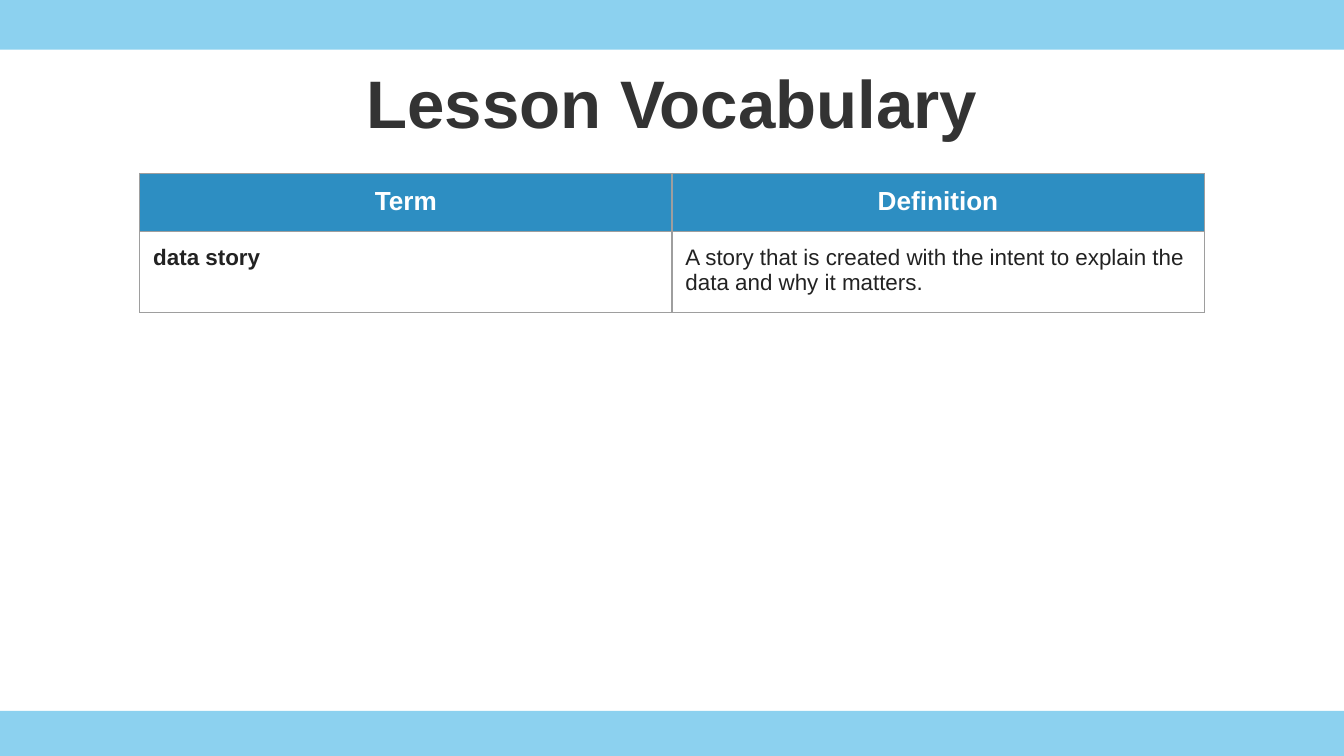
import pptx
import pptx.dml.color
import pptx.enum.shapes
import pptx.enum.text
import pptx.oxml
import pptx.oxml.ns
import pptx.util

Inches = pptx.util.Inches
Pt = pptx.util.Pt
ALIGN = pptx.enum.text.PP_ALIGN
ANCHOR = pptx.enum.text.MSO_ANCHOR

TITLE = "Lesson Vocabulary"
VOCABULARY = [
    ("Term", "Definition"),
    ("data story",
     "A story that is created with the intent to explain the data and why it matters."),
]

SLIDE_W = 10
SLIDE_H = SLIDE_W * 9 / 16
BAND_H = 0.37
BAND_TOPS = (0, 5.29)
COLUMN_W, ROW_H = 3.96, 0.42
TABLE_TOP, TABLE_FRAME = 1.29, 3.28
HEADER_BLUE, BAND_BLUE, BORDER_GRAY = "2D8EC2", "27A9E1", "9E9E9E"


def rgb(color):
    return pptx.dml.color.RGBColor.from_string(color)


def write(frame, text, size, color, bold=False, align=ALIGN.LEFT):
    paragraph = frame.paragraphs[0]
    paragraph.alignment = align
    run = paragraph.add_run()
    run.text = text
    run.font.name = "Arial"
    run.font.size = Pt(size)
    run.font.bold = bold
    run.font.color.rgb = rgb(color)


def set_margins(box):
    """Give a text frame or table cell the same inset on all sides."""
    box.margin_left = box.margin_right = Inches(0.1)
    box.margin_top = box.margin_bottom = Inches(0.1)


def add_band(slide, top):
    band = slide.shapes.add_shape(
        pptx.enum.shapes.MSO_SHAPE.RECTANGLE,
        0, Inches(top), Inches(SLIDE_W), Inches(BAND_H))
    band.shadow.inherit = False
    band.line.fill.background()
    band.fill.solid()
    band.fill.fore_color.rgb = rgb(BAND_BLUE)
    color = band.fill._xPr.find(".//" + pptx.oxml.ns.qn("a:srgbClr"))
    color.append(pptx.oxml.parse_xml(
        f'<a:alpha {pptx.oxml.ns.nsdecls("a")} val="53000"/>'))


def add_borders(cell):
    properties = cell._tc.get_or_add_tcPr()
    for position, side in enumerate(("lnL", "lnR", "lnT", "lnB")):
        properties.insert(position, pptx.oxml.parse_xml(
            f'<a:{side} {pptx.oxml.ns.nsdecls("a")} w="{Pt(0.75)}">'
            f'<a:solidFill><a:srgbClr val="{BORDER_GRAY}"/></a:solidFill></a:{side}>'))


def add_title(slide):
    box = slide.shapes.add_textbox(Inches(0.5), Inches(0.22), Inches(9), Inches(0.94))
    frame = box.text_frame
    frame.word_wrap = True
    frame.vertical_anchor = ANCHOR.BOTTOM
    set_margins(frame)
    write(frame, TITLE, 36, "333333", bold=True, align=ALIGN.CENTER)


def add_vocabulary(slide):
    row_count, column_count = len(VOCABULARY), len(VOCABULARY[0])
    width = COLUMN_W * column_count
    holder = slide.shapes.add_table(
        row_count, column_count, Inches((SLIDE_W - width) / 2), Inches(TABLE_TOP),
        Inches(width), Inches(ROW_H * row_count))
    # Columns and rows keep their own sizes; the frame is a square.
    holder.width = holder.height = Inches(TABLE_FRAME)
    table = holder.table
    table.horz_banding = False
    for r, entry in enumerate(VOCABULARY):
        for c, text in enumerate(entry):
            cell = table.cell(r, c)
            set_margins(cell)
            if r == 0:
                cell.fill.solid()
                cell.fill.fore_color.rgb = rgb(HEADER_BLUE)
                write(cell.text_frame, text, 14, "FFFFFF", bold=True, align=ALIGN.CENTER)
            else:
                cell.fill.background()
                write(cell.text_frame, text, 12, "222222", bold=c == 0)
            add_borders(cell)


def main():
    deck = pptx.Presentation()
    deck.slide_width, deck.slide_height = Inches(SLIDE_W), Inches(SLIDE_H)
    slide = deck.slides.add_slide(deck.slide_layouts[6])
    for top in BAND_TOPS:
        add_band(slide, top)
    add_title(slide)
    add_vocabulary(slide)
    deck.save("out.pptx")


if __name__ == "__main__":
    main()
